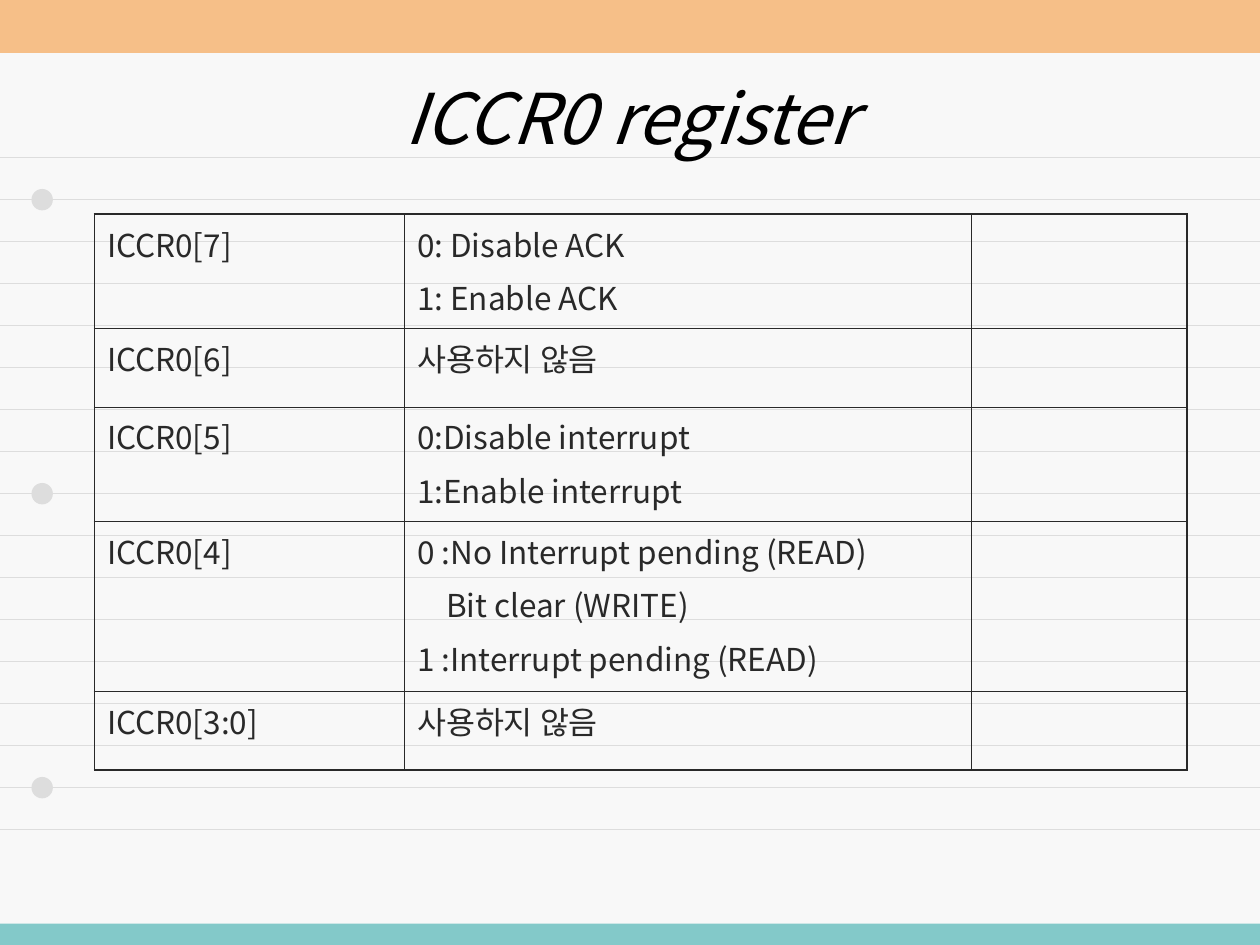
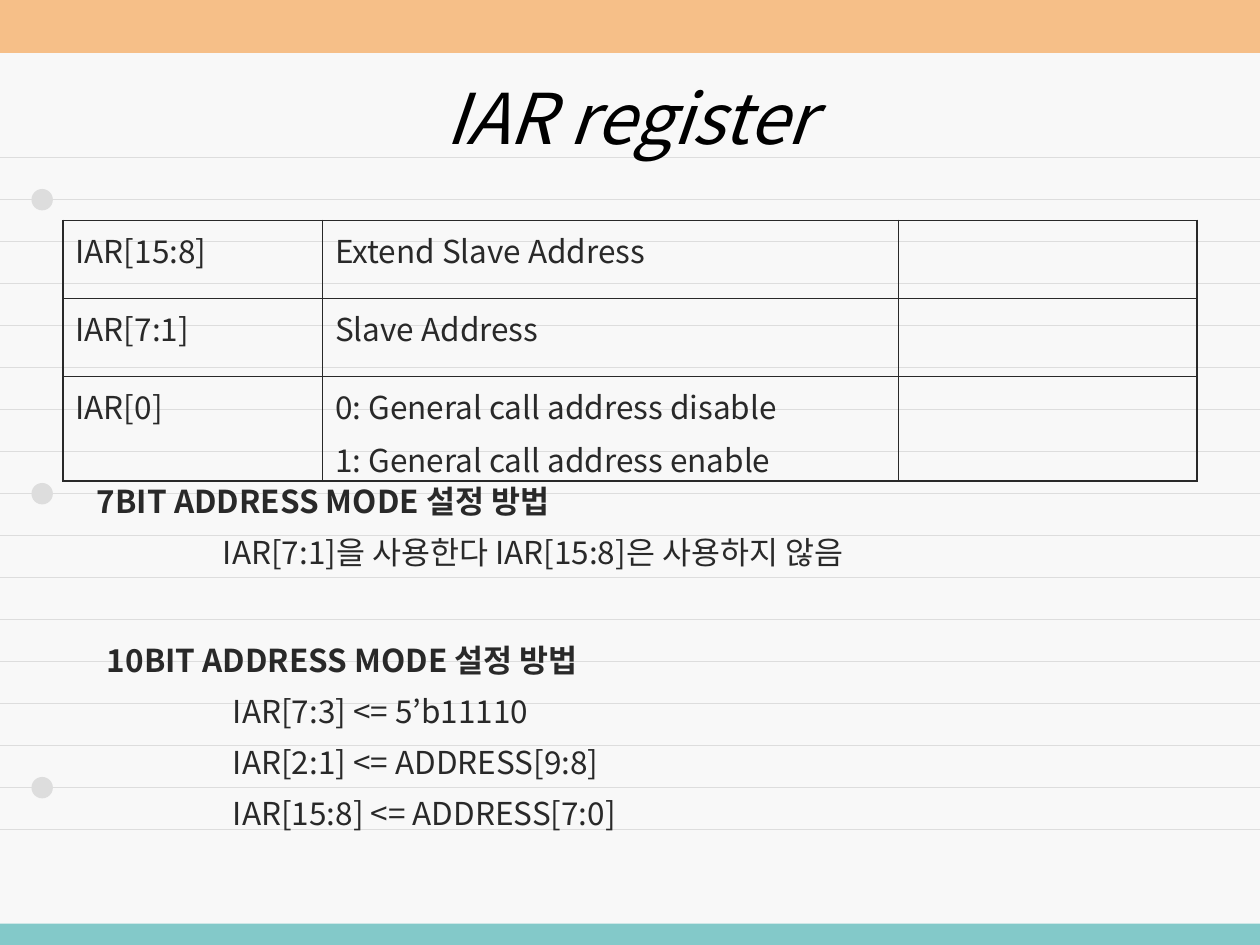
from lxml.etree import SubElement
from pptx import Presentation
from pptx.dml.color import RGBColor
from pptx.enum.shapes import MSO_CONNECTOR, MSO_SHAPE
from pptx.enum.text import MSO_ANCHOR, PP_ALIGN
from pptx.oxml.ns import qn
from pptx.util import Inches, Pt

FONT = "Noto Sans CJK KR"
COLORS = {
    "paper": "F8F8F8",
    "rule": "DDDDDD",
    "top": "F6BF88",
    "foot": "83C9C9",
    "title": "000000",
    "ink": "292929",
}
THICK, THIN = 1.08, 0.45


def color(name):
    return RGBColor.from_string(COLORS[name])


def box(left, top, width, height):
    return [Inches(n) for n in (left, top, width, height)]


def style(para, size=18, tint="ink", bold=False, italic=False, indent=0):
    props = para._p.get_or_add_pPr()
    if indent:
        props.set("marL", str(Inches(indent)))
        props.set("indent", "0")
    font = para.font
    font.name, font.size = FONT, Pt(size)
    font.bold, font.italic = bold, italic
    font.color.rgb = color(tint)
    SubElement(props.find(qn("a:defRPr")), qn("a:ea"), typeface=FONT)


def add_lines(frame, lines, gap):
    for i, (text, look) in enumerate(lines):
        para = frame.paragraphs[0] if i == 0 else frame.add_paragraph()
        para.text = text
        if i:
            para.space_before = Pt(gap)
        style(para, **look)


def add_rule(slide, y):
    line = slide.shapes.add_connector(
        MSO_CONNECTOR.STRAIGHT, Inches(0), Inches(y), Inches(10), Inches(y))
    line.line.color.rgb = color("rule")
    line.line.width = Pt(0.5)
    SubElement(line._element.spPr, qn("a:effectLst"))


def add_solid(slide, kind, place, tint):
    shape = slide.shapes.add_shape(kind, *box(*place))
    shape.shadow.inherit = False
    shape.fill.solid()
    shape.fill.fore_color.rgb = color(tint)
    shape.line.fill.background()


def add_text(slide, place):
    frame = slide.shapes.add_textbox(*box(*place)).text_frame
    frame.word_wrap = True
    return frame


def add_page(deck, title):
    slide = deck.slides.add_slide(deck.slide_layouts[6])
    slide.background.fill.solid()
    slide.background.fill.fore_color.rgb = color("paper")
    for i in range(17):
        add_rule(slide, 1.25 + i / 3)
    for i in range(3):
        add_solid(slide, MSO_SHAPE.OVAL, (0.25, 1.5 + i * 7 / 3, 0.17, 0.17), "rule")
    add_solid(slide, MSO_SHAPE.RECTANGLE, (0, 7.33, 10, 0.17), "foot")
    add_solid(slide, MSO_SHAPE.RECTANGLE, (0, 0, 10, 0.42), "top")
    frame = add_text(slide, (0.5, 0.3, 9, 1.25))
    frame.vertical_anchor = MSO_ANCHOR.MIDDLE
    add_lines(frame, [(title, dict(size=40, tint="title", italic=True))], 0)
    frame.paragraphs[0].alignment = PP_ALIGN.CENTER
    return slide


def add_edge(cell, side, width):
    edge = SubElement(cell._tc.get_or_add_tcPr(), qn("a:ln" + side), w=str(Pt(width)))
    fill = SubElement(edge, qn("a:solidFill"))
    SubElement(fill, qn("a:srgbClr"), val=COLORS["ink"])


def add_grid(slide, left, top, widths, heights, rows):
    place = box(left, top, sum(widths), sum(heights))
    table = slide.shapes.add_table(len(rows), len(widths), *place).table
    table.first_row = table.horz_banding = False
    for col, width in zip(table.columns, widths):
        col.width = Inches(width)
    for r, (row, height) in enumerate(zip(rows, heights)):
        table.rows[r].height = Inches(height)
        for c in range(len(widths)):
            cell = table.cell(r, c)
            outer = {"L": c == 0, "R": c == len(widths) - 1,
                     "T": r == 0, "B": r == len(rows) - 1}
            for side, edge in outer.items():
                add_edge(cell, side, THICK if edge else THIN)
            cell.fill.background()
            lines = row[c] if c < len(row) else [""]
            pairs = [(t, dict(indent=0.23 if t.startswith("Bit") else 0)) for t in lines]
            add_lines(cell.text_frame, pairs, 4.5)


def add_mode(slide, place, head, steps):
    frame = add_text(slide, place)
    lines = [(head, dict(bold=True))] + [(s, dict(indent=1)) for s in steps]
    add_lines(frame, lines, 11.2)
    for para in frame.paragraphs:
        para.line_spacing = 0.83


def main():
    deck = Presentation()
    deck.slide_width, deck.slide_height = Inches(10), Inches(7.5)

    slide = add_page(deck, "ICCR0 register")
    add_grid(slide, 0.75, 1.7, (2.46, 4.5, 1.71), (0.91, 0.62, 0.91, 1.35, 0.62), [
        (["ICCR0[7]"], ["0: Disable ACK", "1: Enable ACK"]),
        (["ICCR0[6]"], ["사용하지 않음"]),
        (["ICCR0[5]"], ["0:Disable interrupt", "1:Enable interrupt"]),
        (["ICCR0[4]"], ["0 :No Interrupt pending (READ)", "Bit clear (WRITE)",
                        "1 :Interrupt pending (READ)"]),
        (["ICCR0[3:0]"], ["사용하지 않음"]),
    ])

    slide = add_page(deck, "IAR register")
    add_grid(slide, 0.5, 1.75, (2.06, 4.57, 2.37), (0.62, 0.62, 0.83), [
        (["IAR[15:8]"], ["Extend Slave Address"]),
        (["IAR[7:1]"], ["Slave Address"]),
        (["IAR[0]"], ["0: General call address disable",
                      "1: General call address enable"]),
    ])
    add_mode(slide, (0.67, 3.83, 7.32, 0.86), "7BIT ADDRESS MODE 설정 방법",
             ["IAR[7:1]을 사용한다 IAR[15:8]은 사용하지 않음"])
    add_mode(slide, (0.75, 5.09, 7.32, 1.77), "10BIT ADDRESS MODE 설정 방법",
             ["IAR[7:3] <= 5’b11110", "IAR[2:1] <= ADDRESS[9:8]",
              "IAR[15:8] <= ADDRESS[7:0]"])

    deck.save("out.pptx")


if __name__ == "__main__":
    main()
